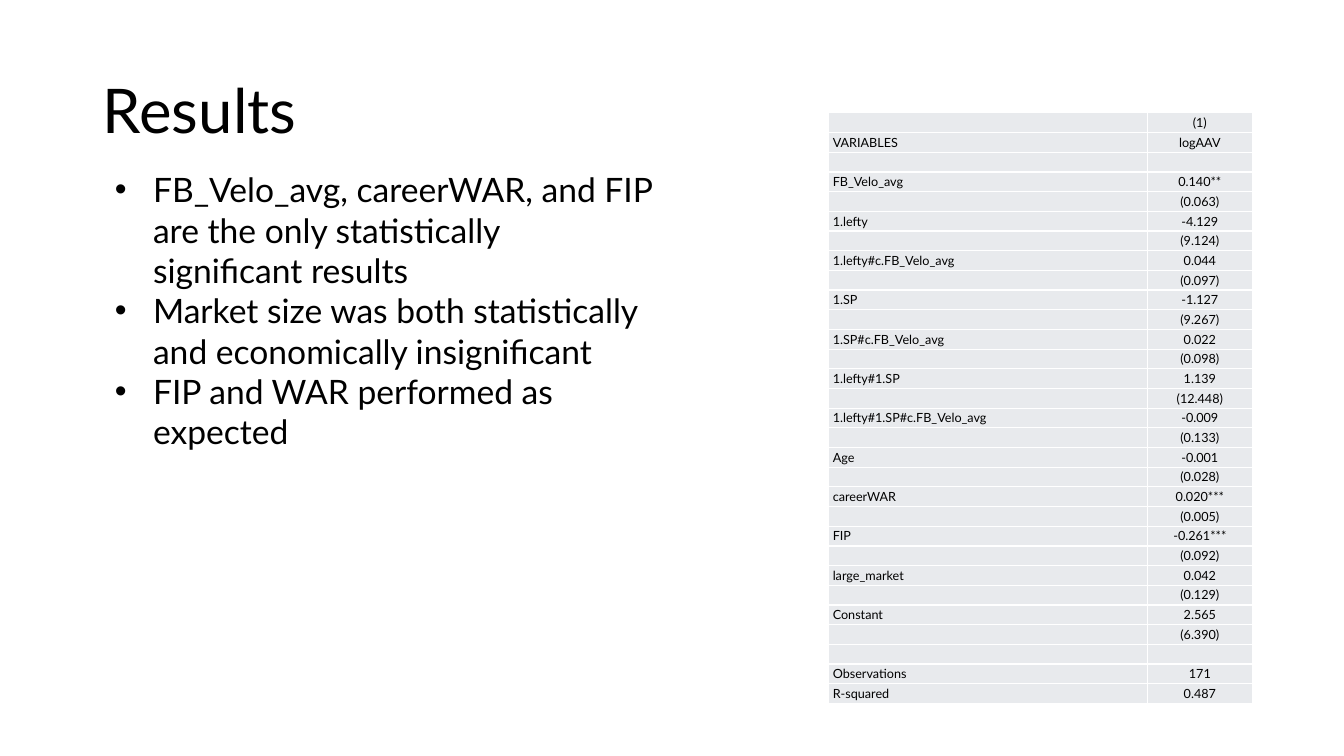
from lxml.etree import SubElement
from pptx import Presentation
from pptx.dml.color import RGBColor
from pptx.enum.text import MSO_ANCHOR as Anchor, MSO_AUTO_SIZE as AutoSize, PP_ALIGN as Align
from pptx.oxml import parse_xml
from pptx.oxml.ns import nsdecls, qn
from pptx.util import Inches, Pt

BLACK = RGBColor(0x00, 0x00, 0x00)
WHITE = RGBColor(0xFF, 0xFF, 0xFF)
GRAY = RGBColor(0xE8, 0xEA, 0xED)
FONT = "Lato"

FINDINGS = [
    "FB_Velo_avg, careerWAR, and FIP are the only statistically significant results",
    "Market size was both statistically and economically insignificant",
    "FIP and WAR performed as expected",
]
ESTIMATES = [
    ("FB_Velo_avg", "0.140**", "(0.063)"),
    ("1.lefty", "-4.129", "(9.124)"),
    ("1.lefty#c.FB_Velo_avg", "0.044", "(0.097)"),
    ("1.SP", "-1.127", "(9.267)"),
    ("1.SP#c.FB_Velo_avg", "0.022", "(0.098)"),
    ("1.lefty#1.SP", "1.139", "(12.448)"),
    ("1.lefty#1.SP#c.FB_Velo_avg", "-0.009", "(0.133)"),
    ("Age", "-0.001", "(0.028)"),
    ("careerWAR", "0.020***", "(0.005)"),
    ("FIP", "-0.261***", "(0.092)"),
    ("large_market", "0.042", "(0.129)"),
    ("Constant", "2.565", "(6.390)"),
]


def write(p, text, size, align=Align.LEFT, spacing=None, after=0, bullet=False):
    """Fill a paragraph with formatted text, optionally bulleted."""
    p.alignment = align
    p.line_spacing = spacing
    p.space_before = Pt(0)
    p.space_after = Pt(after)
    if bullet:
        pPr = p._p.get_or_add_pPr()
        pPr.set("marL", str(Inches(0.38)))
        pPr.set("indent", str(-Inches(0.38)))
        SubElement(pPr, qn("a:buFont"), typeface="Arial")
        SubElement(pPr, qn("a:buChar"), char="•")
    if text:
        r = p.add_run()
        r.text = text
        r.font.size = Pt(size)
        r.font.name = FONT
        r.font.color.rgb = BLACK
    else:
        SubElement(p._p, qn("a:endParaRPr"), sz=str(size * 100))


def place_title(s, text, x, y, w, h):
    """Move the title placeholder into the box and write it."""
    sp = s.shapes.title
    sp.left, sp.top, sp.width, sp.height = map(Inches, (x, y, w, h))
    tf = sp.text_frame
    tf.word_wrap = True
    tf.vertical_anchor = Anchor.MIDDLE
    write(tf.paragraphs[0], text, 44, spacing=0.9)


def add_findings(s, items, x, y, w, h):
    """Add the bulleted findings in the box."""
    tf = s.shapes.add_textbox(*map(Inches, (x, y, w, h))).text_frame
    tf.word_wrap = True
    tf.auto_size = AutoSize.SHAPE_TO_FIT_TEXT
    for i, item in enumerate(items):
        p = tf.add_paragraph() if i else tf.paragraphs[0]
        write(p, item, 24, bullet=True)


def format_cell(cell, text, align):
    """Write one table cell with its fill and white borders."""
    cell.margin_left = cell.margin_right = Inches(0.04)
    cell.margin_top = cell.margin_bottom = 0
    cell.fill.solid()
    cell.fill.fore_color.rgb = GRAY
    tcPr = cell._tc.get_or_add_tcPr()
    for i, side in enumerate("LRTB"):
        tcPr.insert(i, parse_xml(
            f'<a:ln{side} {nsdecls("a")} w="{Pt(1)}"><a:solidFill>'
            f'<a:srgbClr val="{WHITE}"/></a:solidFill></a:ln{side}>'))
    write(cell.text_frame.paragraphs[0], text, 9, align, spacing=1.15, after=8 if text else 0)


def add_regression(s, estimates, x, y, w, h):
    """Add the regression table, with errors below coefficients, in the box."""
    rows = [("", "(1)"), ("VARIABLES", "logAAV"), ("", "")]
    for name, coefficient, error in estimates:
        rows += [(name, coefficient), ("", error)]
    rows += [("", ""), ("Observations", "171"), ("R-squared", "0.487")]
    table = s.shapes.add_table(len(rows), 2, *map(Inches, (x, y, w, h))).table
    table.first_row = table.horz_banding = False
    value_w = 1.04
    table.columns[0].width = Inches(w - value_w)
    table.columns[1].width = Inches(value_w)
    for i, row in enumerate(rows):
        table.rows[i].height = Inches(h / len(rows))
        for j, text in enumerate(row):
            format_cell(table.cell(i, j), text, Align.CENTER if j else Align.LEFT)


def main():
    """Build and save the results slide."""
    prs = Presentation()
    prs.slide_width, prs.slide_height = Inches(13.33), Inches(7.5)
    s = prs.slides.add_slide(prs.slide_layouts[5])
    place_title(s, "Results", 0.92, 0.4, 11.5, 1.45)
    add_regression(s, ESTIMATES, 8.22, 1.12, 4.2, 5.87)
    add_findings(s, FINDINGS, 1.04, 1.63, 5.53, 2.93)
    prs.save("out.pptx")


if __name__ == "__main__":
    main()
